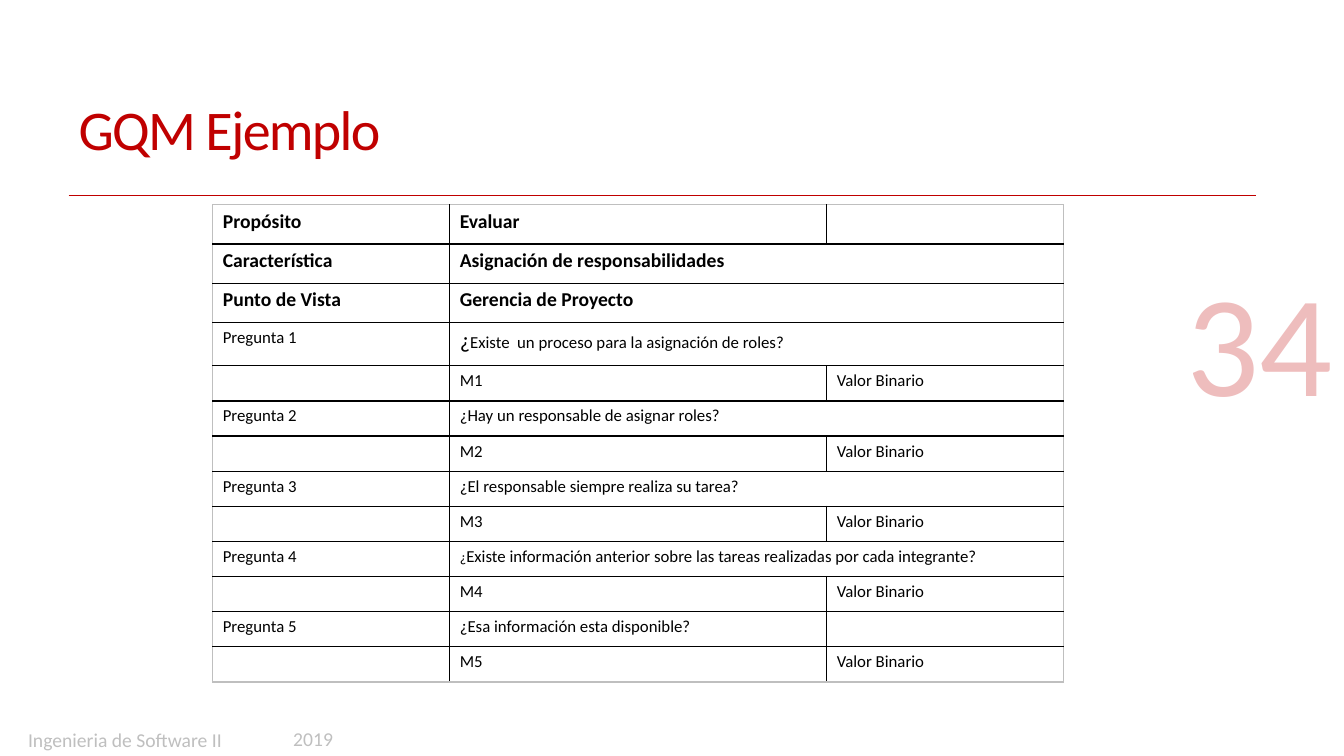
from lxml.etree import SubElement
from pptx import Presentation
from pptx.dml.color import RGBColor
from pptx.enum.shapes import MSO_CONNECTOR as CONN
from pptx.enum.text import MSO_ANCHOR as ANCHOR, MSO_AUTO_SIZE as FIT, PP_ALIGN as ALIGN
from pptx.oxml.ns import qn
from pptx.util import Inches, Pt

WIDTH, HEIGHT = Inches(13.33), Inches(7.5)
RED, GRAY, BLACK, WHITE = "C00000", "BFBFBF", "000000", "FFFFFF"
COLUMNS = (17.63, 28.05, 17.63)
HEADERS = (("Propósito", "Evaluar", False),
           ("Característica", "Asignación de responsabilidades", True),
           ("Punto de Vista", "Gerencia de Proyecto", True))
QUESTIONS = ((16, "Existe  un proceso para la asignación de roles?", True),
             (12, "Hay un responsable de asignar roles?", True),
             (12, "El responsable siempre realiza su tarea?", True),
             (10, "Existe información anterior sobre las tareas realizadas por cada integrante?", True),
             (12, "Esa información esta disponible?", False))


def x(share):
    """Turn a percentage of the slide's width into a length."""
    return int(WIDTH * share / 100)


def y(share):
    """Turn a percentage of the slide's height into a length."""
    return int(HEIGHT * share / 100)


def rgb(value):
    """Turn a hex string into a colour."""
    return RGBColor.from_string(value)


def style_run(r, size, color, bold=False):
    """Set the font of one run."""
    r.font.name, r.font.size, r.font.bold = "Calibri", Pt(size), bold
    r.font.color.rgb = rgb(color)


def add_title(slide, text):
    """Place and format the title placeholder."""
    sp = slide.shapes.title
    sp.left, sp.top, sp.width, sp.height = x(5.1), y(9.33), x(88.35), y(16.54)
    tf = sp.text_frame
    tf.text, tf.vertical_anchor, tf.auto_size = text, ANCHOR.MIDDLE, FIT.NONE
    p = tf.paragraphs[0]
    p.alignment, p.line_spacing = ALIGN.LEFT, 0.85
    style_run(p.runs[0], 40, RED)
    p.runs[0].font._element.set("spc", "-120")


def add_rule(slide):
    """Draw the line under the title."""
    line = slide.shapes.add_connector(CONN.STRAIGHT, x(5.1), y(25.87), x(93.45), y(25.87))
    line.line.color.rgb, line.line.width = rgb(RED), Pt(0.75)
    SubElement(line._element.spPr, qn("a:effectLst"))


def add_text(slide, text, area, size, color, align=ALIGN.LEFT, anchor=ANCHOR.TOP):
    """Add a text box of one line and return its run."""
    left, top, width, height = area
    tf = slide.shapes.add_textbox(x(left), y(top), x(width), y(height)).text_frame
    tf.text, tf.word_wrap, tf.vertical_anchor = text, True, anchor
    p = tf.paragraphs[0]
    p.alignment = align
    style_run(p.runs[0], size, color)
    return p.runs[0]


def add_border(cell, side, color):
    """Draw one side of a table cell."""
    ln = SubElement(cell._tc.get_or_add_tcPr(), qn(f"a:ln{side}"), w=str(Pt(1)))
    fill = SubElement(ln, qn("a:solidFill"))
    SubElement(fill, qn("a:srgbClr"), val=color)


def fill_cell(cell, pieces, bold):
    """Write pieces of text, each with its size, into a cell."""
    p = cell.text_frame.paragraphs[0]
    for text, size in pieces:
        r = p.add_run()
        r.text = text
        style_run(r, size, BLACK, bold)
    SubElement(p._p, qn("a:endParaRPr"), sz="1200")


def table_rows():
    """List each row's height, cells, boldness and whether its value is merged."""
    rows = [(5.2, ([(label, 14)], [(value, 14)], []), True, merged)
            for label, value, merged in HEADERS]
    for n, (mark, text, merged) in enumerate(QUESTIONS, 1):
        question = [("¿", mark), (text, 12)] if mark != 12 else [("¿" + text, 12)]
        rows.append((5.73 if mark == 16 else 4.65,
                     ([(f"Pregunta {n}", 12)], question, []), False, merged))
        rows.append((4.65, ([], [(f"M{n}", 12)], [("Valor Binario", 12)]), False, False))
    return rows


def add_goal_table(slide):
    """Build the table of goals, questions and metrics."""
    rows = table_rows()
    last_row, last_col = len(rows) - 1, len(COLUMNS) - 1
    table = slide.shapes.add_table(len(rows), len(COLUMNS), x(15.83), y(27.07),
                                   x(sum(COLUMNS)), y(sum(row[0] for row in rows))).table
    table.first_row = table.horz_banding = False
    for column, width in zip(table.columns, COLUMNS):
        column.width = x(width)
    for i, (height, cells, bold, merged) in enumerate(rows):
        table.rows[i].height = y(height)
        for j, pieces in enumerate(cells):
            cell = table.cell(i, j)
            fill_cell(cell, pieces, bold)
            at_right = j == last_col or (merged and j == 1)
            outer = {"L": j == 0, "R": at_right, "T": i == 0, "B": i == last_row}
            for side, is_outer in outer.items():
                add_border(cell, side, GRAY if is_outer else BLACK)
            cell.fill.solid()
            cell.fill.fore_color.rgb = rgb(WHITE)
        if merged:
            table.cell(i, 1).merge(table.cell(i, 2))


def main():
    """Build the slide and save it."""
    prs = Presentation()
    prs.slide_width, prs.slide_height = WIDTH, HEIGHT
    slide = prs.slides.add_slide(prs.slide_layouts[5])
    add_rule(slide)
    add_title(slide, "GQM Ejemplo")
    number = add_text(slide, "34", (75.9, 41.6, 24, 15.33), 103, RED, ALIGN.RIGHT, ANCHOR.BOTTOM)
    color = number.font._element.find(qn("a:solidFill"))[0]
    SubElement(color, qn("a:alpha"), val="25000")
    add_text(slide, "2019", (21.08, 95.47, 6.75, 3.73), 14, GRAY)
    add_text(slide, "Ingenieria de Software II", (1.35, 95.6, 17.7, 3.07), 14, GRAY)
    add_goal_table(slide)
    prs.save("out.pptx")


if __name__ == "__main__":
    main()
